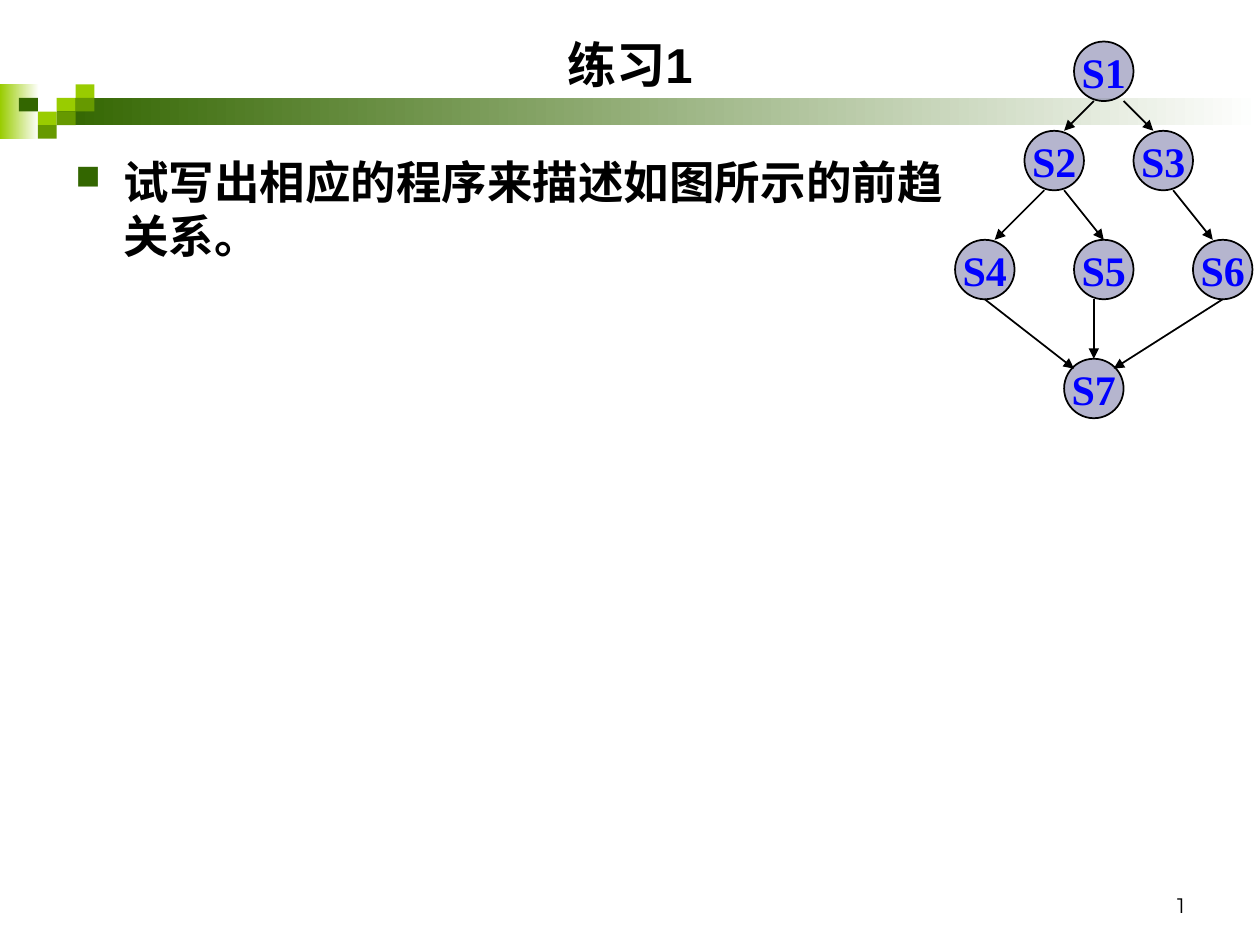
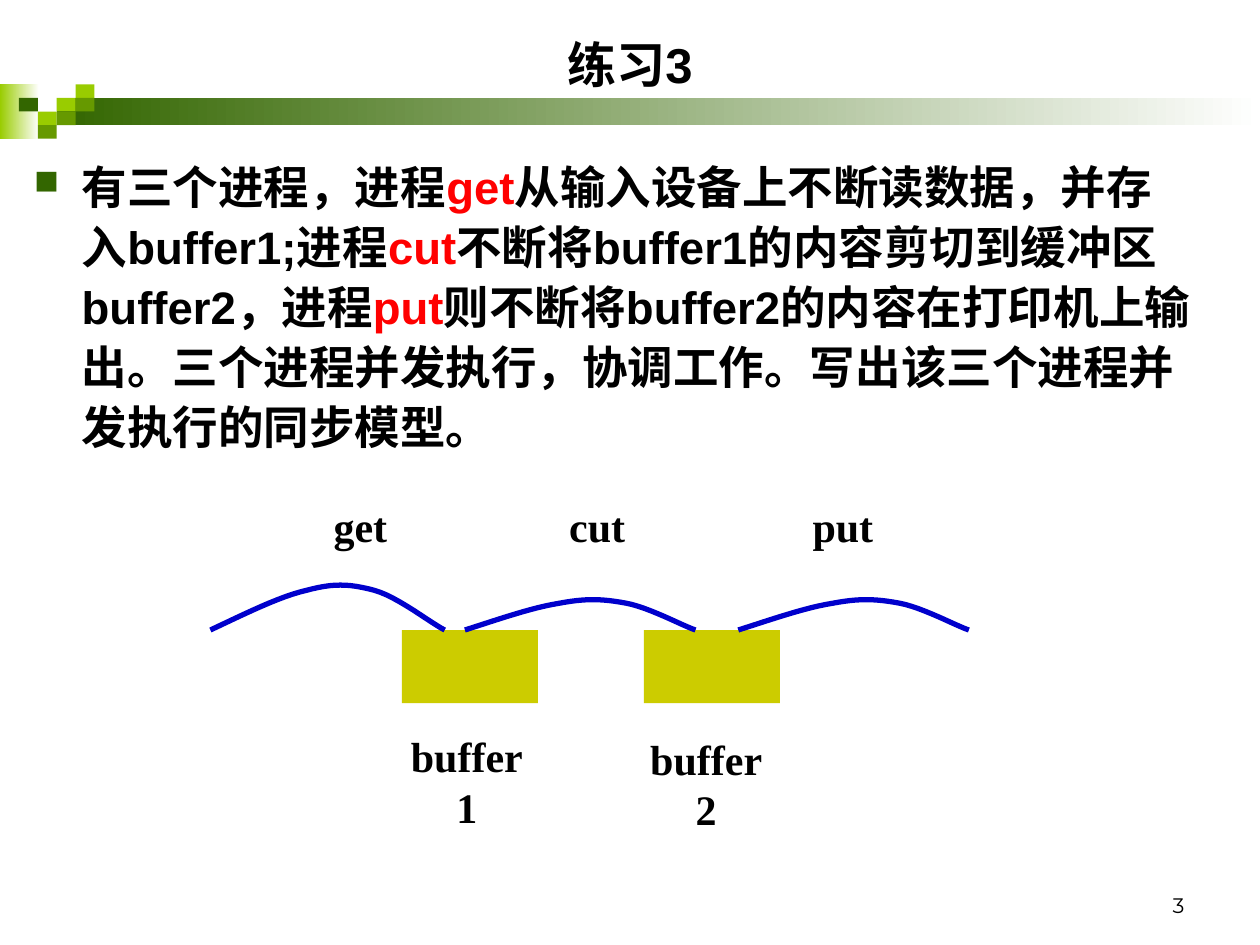
"""Builds two exercise slides: a precedence graph and a three-process buffer pipeline."""
from lxml import etree
from pptx import Presentation
from pptx.dml.color import RGBColor
from pptx.enum.lang import MSO_LANGUAGE_ID
from pptx.enum.shapes import MSO_CONNECTOR, MSO_SHAPE
from pptx.enum.text import MSO_ANCHOR, PP_ALIGN
from pptx.oxml.ns import qn
from pptx.util import Inches, Pt

RECT, OVAL = MSO_SHAPE.RECTANGLE, MSO_SHAPE.OVAL
STRAIGHT = MSO_CONNECTOR.STRAIGHT
TOP, MIDDLE, BOTTOM = MSO_ANCHOR.TOP, MSO_ANCHOR.MIDDLE, MSO_ANCHOR.BOTTOM
LEFT, CENTER, RIGHT = PP_ALIGN.LEFT, PP_ALIGN.CENTER, PP_ALIGN.RIGHT
CHINESE = MSO_LANGUAGE_ID.SIMPLIFIED_CHINESE

WIDTH, HEIGHT = 10, 7.5
BLACK, RED, BLUE, ARC_BLUE = "000000", "FF0000", "0000FF", "0000CC"
DARK, MID, LIME, WHITE = "336600", "669900", "99CC00", "FFFFFF"
NODE, BUFFER = "666699", "CCCC00"

TITLE = {"name": "Arial", "size": Pt(28), "bold": True, "language_id": CHINESE}
BODY = {**TITLE, "size": Pt(26)}
LABEL = {"name": "Times New Roman", "size": Pt(24), "bold": True}
NUMBER = {"name": "Montserrat", "size": Pt(12)}

EXERCISES = [
    {"number": "1", "box": (0.5, 1.17, 7.25, 1.18), "spacing": 1.0,
     "task": [("试写出相应的程序来描述如图所示的前趋关系。", BLACK)]},
    {"number": "3", "box": (0.17, 1.17, 9.42, 2.58), "spacing": 1.1,
     "task": [("有三个进程，进程", BLACK), ("get", RED),
              ("从输入设备上不断读数据，并存入buffer1;进程", BLACK), ("cut", RED),
              ("不断将buffer1的内容剪切到缓冲区buffer2，进程", BLACK), ("put", RED),
              ("则不断将buffer2的内容在打印机上输出。三个进程并发执行，协调工作。"
               "写出该三个进程并发执行的同步模型。", BLACK)]},
]

MOSAIC_TOP, MOSAIC_ROW, MOSAIC_COLUMN = 0.67, 0.43 / 4, 0.15
MOSAIC = [(3, 1, LIME), (4, 0, LIME), (4, 1, MID), (2, 2, LIME),
          (1, 1, DARK), (3, 2, MID), (2, 3, MID)]

GRAPH_LEFT, GRAPH_TOP, GRAPH_UNIT, NODE_UNITS = 7.58, 0.33, 2.36 / 30, 6
STATEMENTS = {"S1": (12, 0), "S2": (7, 9), "S3": (18, 9), "S4": (0, 20),
              "S5": (12, 20), "S6": (24, 20), "S7": (11, 32)}
PRECEDENCES = [("S1", 2, "S2", 4, 0), ("S1", 5, "S3", 2, 0), ("S2", 2, "S4", 4, 0),
               ("S2", 4, "S5", 3, 0), ("S3", 4, "S6", 2, 0), ("S4", 3, "S7", 1, 1),
               ("S5", 2, "S7", 3, 0), ("S6", 3, "S7", 5, 1)]

PIPE_LEVEL, BUFFER_SIZE = 5, (1.08, 0.58)
PROCESSES = [("get", 2.86, 1.67, 1.86, 0.37), ("cut", 4.74, 3.69, 1.83, 0.25),
             ("put", 6.69, 5.86, 1.83, 0.25)]
BUFFERS = [("buffer1", 3.19, 3.08, 5.75), ("buffer2", 5.11, 4.98, 5.77)]
ARC = [(0, 0), (0.15, 0.35), (0.29, 0.71), (0.41, 0.85), (0.52, 1), (0.59, 1),
       (0.7, 0.85), (0.8, 0.71), (0.94, 0.15), (1, 0)]
ARC_STEPS = 12


def color(code):
    return RGBColor.from_string(code)


def apply(target, values):
    for key, value in values.items():
        setattr(target, key, value)


def add_xml(parent, tag, **attributes):
    return etree.SubElement(parent, qn(tag), attributes)


def write(shape, runs, font, align=CENTER, anchor=TOP, wrap=True):
    frame = shape.text_frame
    apply(frame, {"word_wrap": wrap, "vertical_anchor": anchor})
    paragraph = frame.paragraphs[0]
    paragraph.alignment = align
    for text, code in runs:
        run = paragraph.add_run()
        run.text = text
        apply(run.font, font)
        run.font.color.rgb = color(code)
    return paragraph


def add_text(slide, box, runs, font, **layout):
    return write(slide.shapes.add_textbox(*map(Inches, box)), runs, font, **layout)


def add_block(slide, kind, box, fill, fade_to=None):
    block = slide.shapes.add_shape(kind, *map(Inches, box))
    block.shadow.inherit = False
    block.line.fill.background()
    if fade_to:
        block.fill.gradient()
        block.fill.gradient_angle = 0
        for stop, code in zip(block.fill.gradient_stops, (fill, fade_to)):
            stop.color.rgb = color(code)
    else:
        block.fill.solid()
        block.fill.fore_color.rgb = color(fill)
    return block


def draw_line(line, code, points):
    line.color.rgb = color(code)
    line.width = Pt(points)


def add_header(slide):
    bar_left = 3 * MOSAIC_COLUMN
    add_block(slide, RECT, (0, MOSAIC_TOP, 0.31, 4 * MOSAIC_ROW), LIME, WHITE)
    add_block(slide, RECT, (bar_left, MOSAIC_TOP + MOSAIC_ROW, WIDTH - bar_left,
                            2 * MOSAIC_ROW), DARK, WHITE)
    for column, row, code in MOSAIC:
        add_block(slide, RECT, (column * MOSAIC_COLUMN, MOSAIC_TOP + row * MOSAIC_ROW,
                                MOSAIC_COLUMN, MOSAIC_ROW), code)


def add_task(slide, box, runs, spacing):
    paragraph = add_text(slide, box, runs, BODY, align=LEFT)
    properties = paragraph._p.get_or_add_pPr()
    indent = Inches(0.38)
    apply_indent = {"marL": indent, "indent": -indent}
    for key, value in apply_indent.items():
        properties.set(key, str(value))
    add_xml(add_xml(properties, "a:buClr"), "a:srgbClr", val=DARK)
    add_xml(properties, "a:buSzPct", val="75000")
    add_xml(properties, "a:buChar", char="■")
    paragraph.line_spacing = spacing


def add_exercise(deck, exercise):
    slide = deck.slides.add_slide(deck.slide_layouts[6])
    number = exercise["number"]
    add_header(slide)
    add_text(slide, (7.17, 6.83, 2.33, 0.5), [(number, BLACK)], NUMBER,
             align=RIGHT, anchor=BOTTOM)
    add_text(slide, (0.5, 0.17, 9, 0.67), [("练习" + number, BLACK)], TITLE, anchor=MIDDLE)
    add_task(slide, exercise["box"], exercise["task"], exercise["spacing"])
    return slide


def graph_point(column, row):
    return GRAPH_LEFT + column * GRAPH_UNIT, GRAPH_TOP + row * GRAPH_UNIT


def add_precedence_graph(slide):
    diameter = NODE_UNITS * GRAPH_UNIT
    for name, place in STATEMENTS.items():
        node = add_block(slide, OVAL, (*graph_point(*place), diameter, diameter), NODE)
        add_xml(node._element.spPr.find(".//" + qn("a:srgbClr")), "a:alpha", val="48000")
        draw_line(node.line, BLACK, 1)
        write(node, [(name, BLUE)], LABEL, anchor=MIDDLE, wrap=False)
    for before, leave, after, arrive, depth in PRECEDENCES:
        (x1, y1), (x2, y2) = STATEMENTS[before], STATEMENTS[after]
        ends = graph_point(x1 + leave, y1 + NODE_UNITS) + graph_point(x2 + arrive, y2 + depth)
        arrow = slide.shapes.add_connector(STRAIGHT, *map(Inches, ends))
        draw_line(arrow.line, BLACK, 1)
        outline = arrow._element.spPr
        add_xml(outline.find(qn("a:ln")), "a:tailEnd", type="triangle")
        add_xml(outline, "a:effectLst")


def curve_points(controls):
    points = [controls[0]]
    for first in range(0, len(controls) - 1, 3):
        a, b, c, d = controls[first:first + 4]
        for step in range(1, ARC_STEPS + 1):
            t = step / ARC_STEPS
            weights = ((1 - t) ** 3, 3 * t * (1 - t) ** 2, 3 * t * t * (1 - t), t ** 3)
            points.append(tuple(sum(w * p[axis] for w, p in zip(weights, (a, b, c, d)))
                                for axis in (0, 1)))
    return points


def add_pipeline(slide):
    for name, left, label_left, label_top in BUFFERS:
        add_block(slide, RECT, (left, PIPE_LEVEL, *BUFFER_SIZE), BUFFER)
        add_text(slide, (label_left, label_top, 1.25, 0.5), [(name, BLACK)], LABEL, wrap=False)
    for name, center, left, width, rise in PROCESSES:
        start, *rest = [(Inches(left + x * width), Inches(PIPE_LEVEL - y * rise))
                        for x, y in curve_points(ARC)]
        outline = slide.shapes.build_freeform(*start)
        outline.add_line_segments(rest, close=False)
        arc = outline.convert_to_shape()
        arc.shadow.inherit = False
        arc.fill.background()
        draw_line(arc.line, ARC_BLUE, 3)
        add_text(slide, (center - 0.5, 3.92, 1, 0.5), [(name, BLACK)], LABEL)


def main():
    deck = Presentation()
    apply(deck, {"slide_width": Inches(WIDTH), "slide_height": Inches(HEIGHT)})
    for exercise, add_figure in zip(EXERCISES, (add_precedence_graph, add_pipeline)):
        add_figure(add_exercise(deck, exercise))
    deck.save("out.pptx")


if __name__ == "__main__":
    main()
